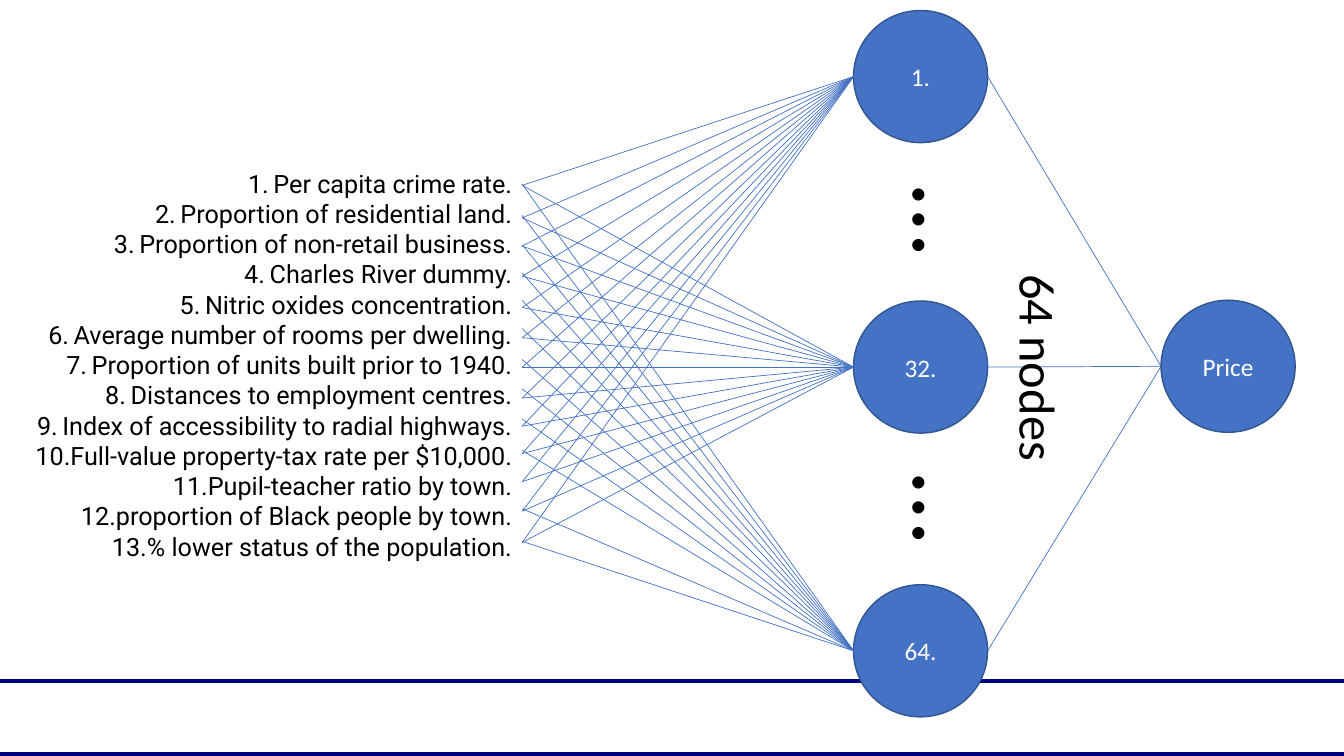
"""Build a slide of a neural network that maps thirteen housing inputs to a price."""
from dataclasses import dataclass
from lxml.etree import SubElement as Sub
from pptx import Presentation
from pptx.dml.color import RGBColor as Rgb
from pptx.enum.shapes import MSO_CONNECTOR as Link, MSO_SHAPE as Kind
from pptx.enum.text import MSO_ANCHOR as Anchor, PP_ALIGN as Align
from pptx.oxml.ns import qn
from pptx.util import Cm, Pt

INPUTS = [
    "Per capita crime rate.",
    "Proportion of residential land.",
    "Proportion of non-retail business.",
    "Charles River dummy.",
    "Nitric oxides concentration.",
    "Average number of rooms per dwelling.",
    "Proportion of units built prior to 1940.",
    "Distances to employment centres.",
    "Index of accessibility to radial highways.",
    "Full-value property-tax rate per $10,000.",
    "Pupil-teacher ratio by town.",
    "proportion of Black people by town.",
    "% lower status of the population.",
]
ROWS = [4.67, 5.49, 6.2, 6.96, 7.75, 8.51, 9.25, 10.03, 10.74, 11.43, 12.14, 12.88, 13.67]
FLIP = 18.31
NODES = [("1.", 1.93, ROWS),
         ("32.", 9.25, ROWS),
         ("64.", 16.4, [FLIP - y for y in ROWS if y != ROWS[2]])]
PRICE = ("Price", 9.23)
DOTS = [3.89, 11.15]
RULES = [17.17, 19.0]

WIDE, HIGH = 33.87, 19.05
LEFT, MID, OUT = 13.16, 21.51, 29.26
NODE_W, NODE_H = 3.38, 3.33


@dataclass(frozen=True)
class Theme:
    """Hold the colours, fonts and type sizes."""
    blue: str = "4472C4"
    edge: str = "325491"
    navy: str = "000080"
    black: str = "000000"
    white: str = "FFFFFF"
    sans: str = "Calibri"
    list_font: str = "Roboto"
    body: int = 18
    label: int = 36
    dots: int = 72


T = Theme()
deck = Presentation()
deck.slide_width, deck.slide_height = Cm(WIDE), Cm(HIGH)
slide = deck.slides.add_slide(deck.slide_layouts[6])
shapes = slide.shapes


def write(frame, lines, size=T.body, font=T.sans, color=T.black,
          align=Align.CENTER, anchor=Anchor.TOP, number=False):
    """Fill a text frame with formatted paragraphs."""
    frame.word_wrap = True
    frame.vertical_anchor = anchor
    for i, text in enumerate(lines):
        para = frame.paragraphs[0] if i == 0 else frame.add_paragraph()
        para.alignment = align
        if number:
            props = para._p.get_or_add_pPr()
            props.set("marL", str(Cm(0.64)))
            props.set("indent", str(-Cm(0.64)))
            Sub(props, qn("a:buFont"), typeface="+mj-lt")
            Sub(props, qn("a:buAutoNum"), type="arabicPeriod")
        run = para.add_run()
        run.text = text
        run.font.size, run.font.name = Pt(size), font
        run.font.color.rgb = Rgb.from_string(color)


def box(x, y, w, h, lines, turn=0, **style):
    """Add a text box, turned if asked."""
    part = shapes.add_textbox(Cm(x), Cm(y), Cm(w), Cm(h))
    part.rotation = turn
    write(part.text_frame, lines, **style)


def line(x1, y1, x2, y2, color=T.blue, width=0.5):
    """Add a straight line without a shadow."""
    part = shapes.add_connector(Link.STRAIGHT, Cm(x1), Cm(y1), Cm(x2), Cm(y2))
    part.line.color.rgb = Rgb.from_string(color)
    part.line.width = Pt(width)
    Sub(part._element.spPr, qn("a:effectLst"))


def node(x, mid, text):
    """Add a circle centred on a height."""
    part = shapes.add_shape(Kind.OVAL, Cm(x), Cm(mid - NODE_H / 2), Cm(NODE_W), Cm(NODE_H))
    part.shadow.inherit = False
    part.fill.solid()
    part.fill.fore_color.rgb = Rgb.from_string(T.blue)
    part.line.color.rgb = Rgb.from_string(T.edge)
    part.line.width = Pt(1)
    write(part.text_frame, [text], color=T.white, anchor=Anchor.MIDDLE)


for y in RULES:
    line(0, y, WIDE, y, T.navy, 3)

box(0, 4.11, LEFT, 10.26, INPUTS, font=T.list_font, align=Align.RIGHT, number=True)

for name, mid, rows in NODES:
    node(MID, mid, name)
    for y in rows:
        line(LEFT, y, MID, mid)
    line(MID + NODE_W, mid, OUT, PRICE[1])

node(OUT, PRICE[1], PRICE[0])
for y in DOTS:
    box(22.63, y, 2.77, 3.33, ["…"], turn=90, size=T.dots)
box(22.89, 8.36, 6.6, 1.8, ["64 nodes"], turn=90, size=T.label)

deck.save("out.pptx")
